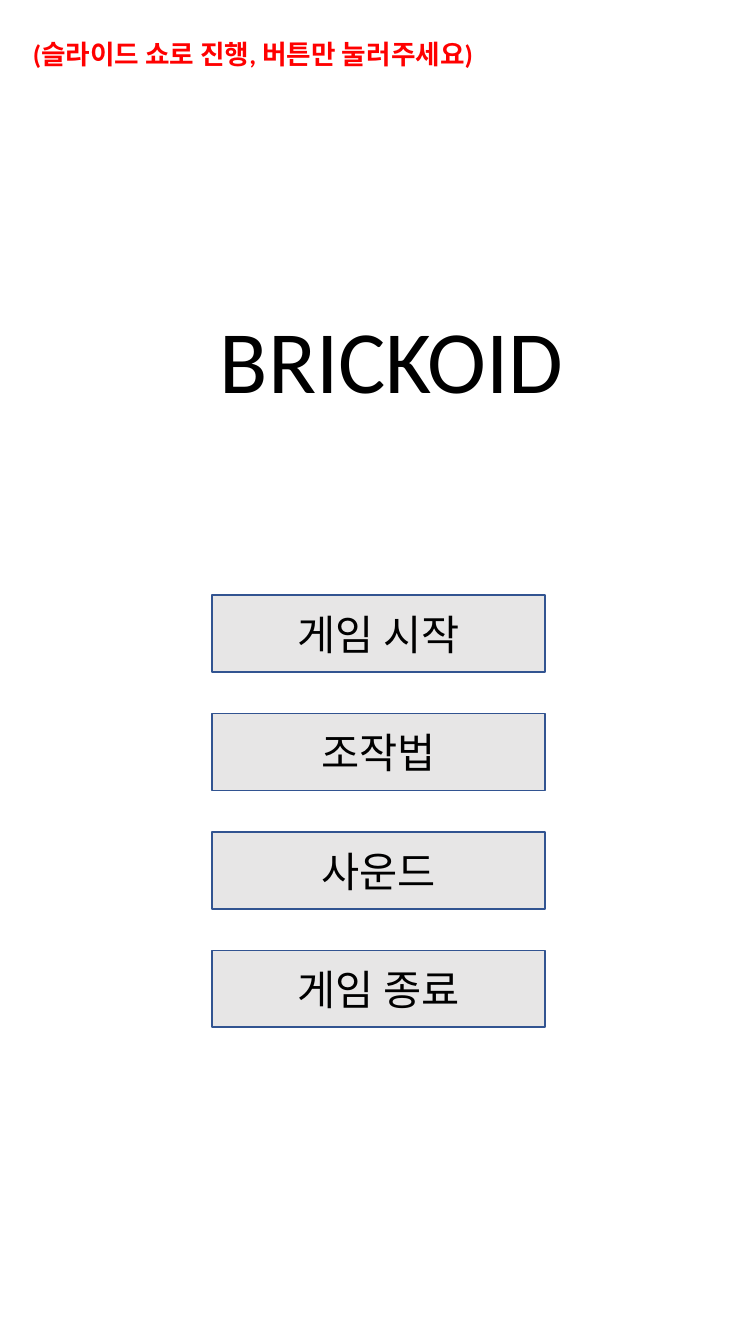
from pptx import Presentation
from pptx import util as u
from pptx.dml.color import RGBColor
from pptx.enum import shapes, text

BLACK = RGBColor(0, 0, 0)
RED = RGBColor(0xFF, 0, 0)
GRAY = RGBColor(0xE7, 0xE6, 0xE6)
BLUE = RGBColor(0x32, 0x54, 0x91)
FONT = "Calibri"
LABELS = ["게임 시작", "조작법", "사운드", "게임 종료"]


def put(item, **values):
    for name, value in values.items():
        setattr(item, name, value)


def write(shape, words, size, color, align, bold=False):
    line = shape.text_frame.paragraphs[0]
    line.alignment = align
    run = line.add_run()
    run.text = words
    put(run.font, name=FONT, size=u.Pt(size), bold=bold)
    run.font.color.rgb = color
    return line


def add_title(slide, words):
    title = slide.shapes.title
    put(title, left=u.Inches(0.89), top=u.Inches(3.2),
        width=u.Inches(5.57), height=u.Inches(0.72))
    put(title.text_frame, auto_size=text.MSO_AUTO_SIZE.NONE,
        vertical_anchor=text.MSO_ANCHOR.BOTTOM, word_wrap=True)
    line = write(title, words, 60, BLACK, text.PP_ALIGN.CENTER)
    put(line, line_spacing=0.9, space_before=u.Pt(0))


def add_button(slide, words, top):
    box = slide.shapes.add_shape(
        shapes.MSO_SHAPE.RECTANGLE, u.Inches(1.99), u.Inches(top),
        u.Inches(3.12), u.Inches(0.72))
    box.shadow.inherit = False
    box.fill.solid()
    box.fill.fore_color.rgb = GRAY
    box.line.color.rgb = BLUE
    box.line.width = u.Pt(1)
    box.text_frame.vertical_anchor = text.MSO_ANCHOR.MIDDLE
    write(box, words, 28, BLACK, text.PP_ALIGN.CENTER)


def add_note(slide, words):
    box = slide.shapes.add_textbox(
        u.Inches(0.21), u.Inches(0.31), u.Inches(4.69), u.Inches(0.4))
    put(box.text_frame, word_wrap=False,
        auto_size=text.MSO_AUTO_SIZE.SHAPE_TO_FIT_TEXT)
    write(box, words, 18, RED, text.PP_ALIGN.LEFT, bold=True)


def main():
    deck = Presentation()
    put(deck, slide_width=u.Inches(7.09), slide_height=u.Inches(12.6))
    slide = deck.slides.add_slide(deck.slide_layouts[5])

    # Game title
    add_title(slide, "BRICKOID")

    # Menu buttons, evenly stacked
    for row, label in enumerate(LABELS):
        add_button(slide, label, 5.58 + 1.11 * row)

    # Hint at the top
    add_note(slide, "(슬라이드 쇼로 진행, 버튼만 눌러주세요)")

    deck.save("out.pptx")


if __name__ == "__main__":
    main()
